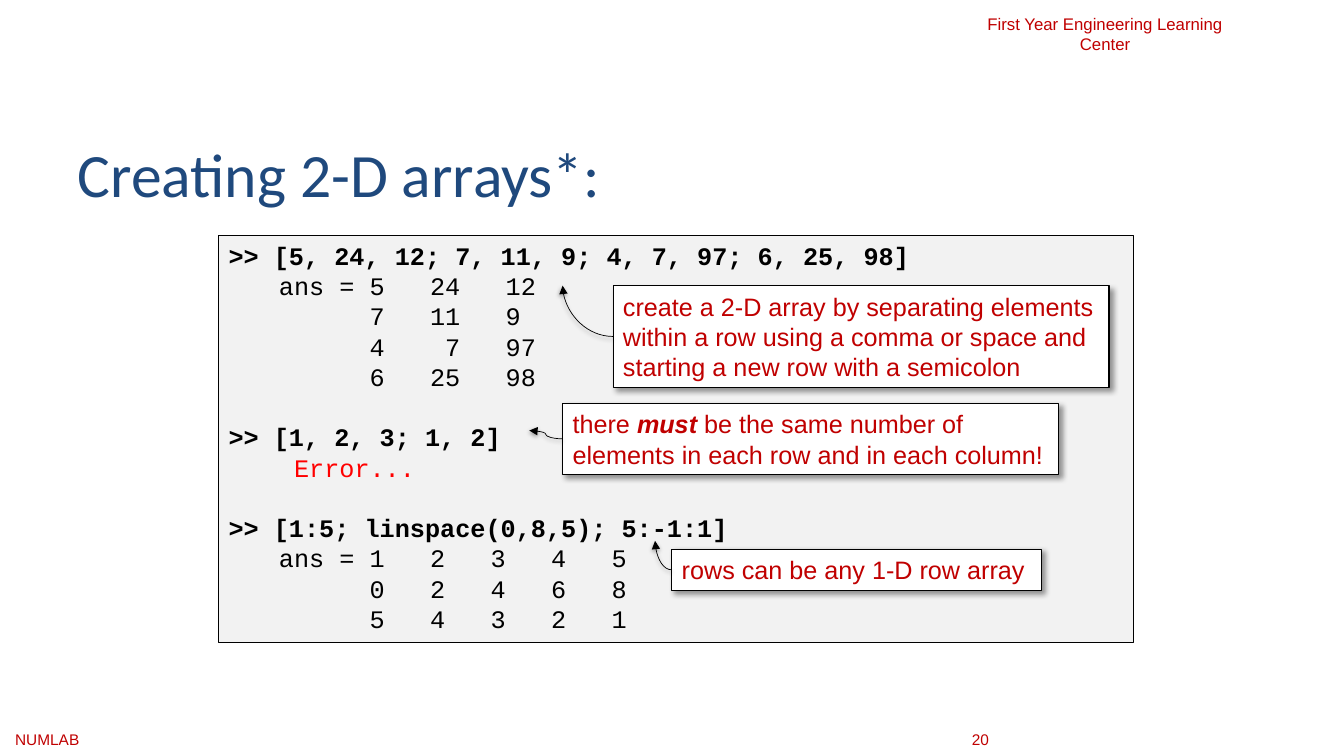
from lxml import etree
from pptx import Presentation
from pptx.dml.color import RGBColor
from pptx.enum.shapes import MSO_CONNECTOR, MSO_SHAPE
from pptx.enum.text import MSO_ANCHOR, PP_ALIGN
from pptx.oxml.ns import qn
from pptx.util import Cm, Pt

CURVE = MSO_CONNECTOR.CURVE
RECT = MSO_SHAPE.RECTANGLE
TOP, MIDDLE = MSO_ANCHOR.TOP, MSO_ANCHOR.MIDDLE
LEFT, CENTER = PP_ALIGN.LEFT, PP_ALIGN.CENTER

COLORS = {
    "black": "000000",
    "white": "FFFFFF",
    "panel": "F2F2F2",
    "title": "1F497D",
    "accent": "C00000",
    "error": "FF0000",
}

# Each session: the command, then the lines it prints
SESSIONS = [
    (">> [5, 24, 12; 7, 11, 9; 4, 7, 97; 6, 25, 98]",
     ["\tans = 5   24   12",
      "\t      7   11   9",
      "\t      4    7   97",
      "\t      6   25   98"]),
    (">> [1, 2, 3; 1, 2]",
     ["\t Error..."]),
    (">> [1:5; linspace(0,8,5); 5:-1:1]",
     ["\tans = 1   2   3   4   5",
      "\t      0   2   4   6   8",
      "\t      5   4   3   2   1"]),
]


def rgb(name):
    return RGBColor.from_string(COLORS[name])


def set_font(font, name, size, color, bold=False):
    font.name, font.size, font.bold = name, Pt(size), bold
    font.color.rgb = rgb(color)


def add_shadow(sp, alpha, blur, dist, angle):
    """Add an outer shadow; call once the line is formatted."""
    effects = etree.SubElement(sp._element.spPr, qn("a:effectLst"))
    shadow = etree.SubElement(
        effects, qn("a:outerShdw"), blurRad=str(Pt(blur)), dist=str(Pt(dist)),
        dir=str(angle * 60000), algn="tl", rotWithShape="0")
    color = etree.SubElement(shadow, qn("a:srgbClr"), val=COLORS["black"])
    etree.SubElement(color, qn("a:alpha"), val=str(alpha * 1000))


def add_label(slide, text, left, top, width, height, size, align=LEFT):
    tf = slide.shapes.add_textbox(Cm(left), Cm(top), Cm(width), Cm(height)).text_frame
    tf.word_wrap = True
    p = tf.paragraphs[0]
    p.text, p.alignment = text, align
    set_font(p.font, "Arial", size, "accent")


def add_panel(slide, left, top, width, height, fill, anchor):
    sp = slide.shapes.add_shape(RECT, Cm(left), Cm(top), Cm(width), Cm(height))
    sp.fill.solid()
    sp.fill.fore_color.rgb = rgb(fill)
    sp.line.color.rgb = rgb("black")
    sp.line.width = Pt(0.75)
    sp.text_frame.word_wrap = True
    sp.text_frame.vertical_anchor = anchor
    return sp


def add_code_line(tf, text, bold=False, color="black", gap=0):
    p = tf.paragraphs[0] if not tf.text else tf.add_paragraph()
    p.text, p.alignment, p.space_before = text, LEFT, Pt(gap)
    tabs = etree.SubElement(p._p.get_or_add_pPr(), qn("a:tabLst"))
    etree.SubElement(tabs, qn("a:tab"), pos=str(Cm(1.27)), algn="l")
    set_font(p.font, "Courier New", 18, color, bold)


def add_code(slide):
    sp = add_panel(slide, 5.51, 5.93, 23.06, 10.26, "panel", TOP)
    sp.shadow.inherit = False
    for i, (command, output) in enumerate(SESSIONS):
        add_code_line(sp.text_frame, command, bold=True, gap=21.6 if i else 0)
        for line in output:
            color = "error" if "Error" in line else "black"
            add_code_line(sp.text_frame, line, color=color)


def add_callout(slide, parts, left, top, width, height):
    """Add a note; every second part is bold italic."""
    sp = add_panel(slide, left, top, width, height, "white", MIDDLE)
    add_shadow(sp, 40, 4, 3, 45)
    p = sp.text_frame.paragraphs[0]
    p.alignment = LEFT
    set_font(p.font, "Arial", 18, "accent")
    for i, part in enumerate(parts):
        r = p.add_run()
        r.text = part
        if i % 2:
            r.font.bold = r.font.italic = True


def add_arrow(slide, x1, y1, x2, y2, preset):
    line = slide.shapes.add_connector(CURVE, Cm(x1), Cm(y1), Cm(x2), Cm(y2))
    line.line.color.rgb = rgb("black")
    line.line.width = Pt(0.5)
    props = line._element.spPr
    props.find(qn("a:prstGeom")).set("prst", preset)
    etree.SubElement(props.find(qn("a:ln")), qn("a:tailEnd"), type="triangle")
    add_shadow(line, 38, 3.1, 1.6, 90)


def add_title(slide, text):
    title = slide.shapes.title
    title.left, title.top, title.width, title.height = Cm(1.7), Cm(3.2), Cm(30.48), Cm(2.29)
    tf = title.text_frame
    tf.text = text
    tf.vertical_anchor = MIDDLE
    p = tf.paragraphs[0]
    p.alignment = LEFT
    set_font(p.font, "Calibri", 44, "title")


def main():
    prs = Presentation()
    prs.slide_width, prs.slide_height = Cm(33.87), Cm(19.05)
    slide = prs.slides.add_slide(prs.slide_layouts[5])

    add_label(slide, "NUMLAB", 0.13, 18.27, 5, 0.74, 11)
    add_label(slide, "20", 24.24, 18.27, 2, 0.74, 11)
    add_label(slide, "First Year Engineering Learning Center",
              24.28, 0.23, 7.14, 1.27, 12, CENTER)
    add_title(slide, "Creating 2-D arrays*:")
    add_code(slide)

    add_callout(slide, ["create a 2-D array by separating elements within a row using "
                        "a comma or space and starting a new row with a semicolon"],
                15.45, 7.2, 12.5, 2.56)
    add_callout(slide, ["there ", "must", " be the same number of elements in each row "
                        "and in each column!"],
                14.18, 10.16, 12.5, 1.8)
    add_callout(slide, ["rows can be any 1-D row array"], 16.93, 13.84, 9.32, 1.03)

    add_arrow(slide, 15.45, 8.48, 14.18, 7.2, "curvedConnector2")
    add_arrow(slide, 14.18, 11.06, 13.34, 10.85, "curvedConnector3")
    add_arrow(slide, 16.93, 14.36, 16.51, 13.63, "curvedConnector2")

    prs.save("out.pptx")


if __name__ == "__main__":
    main()
